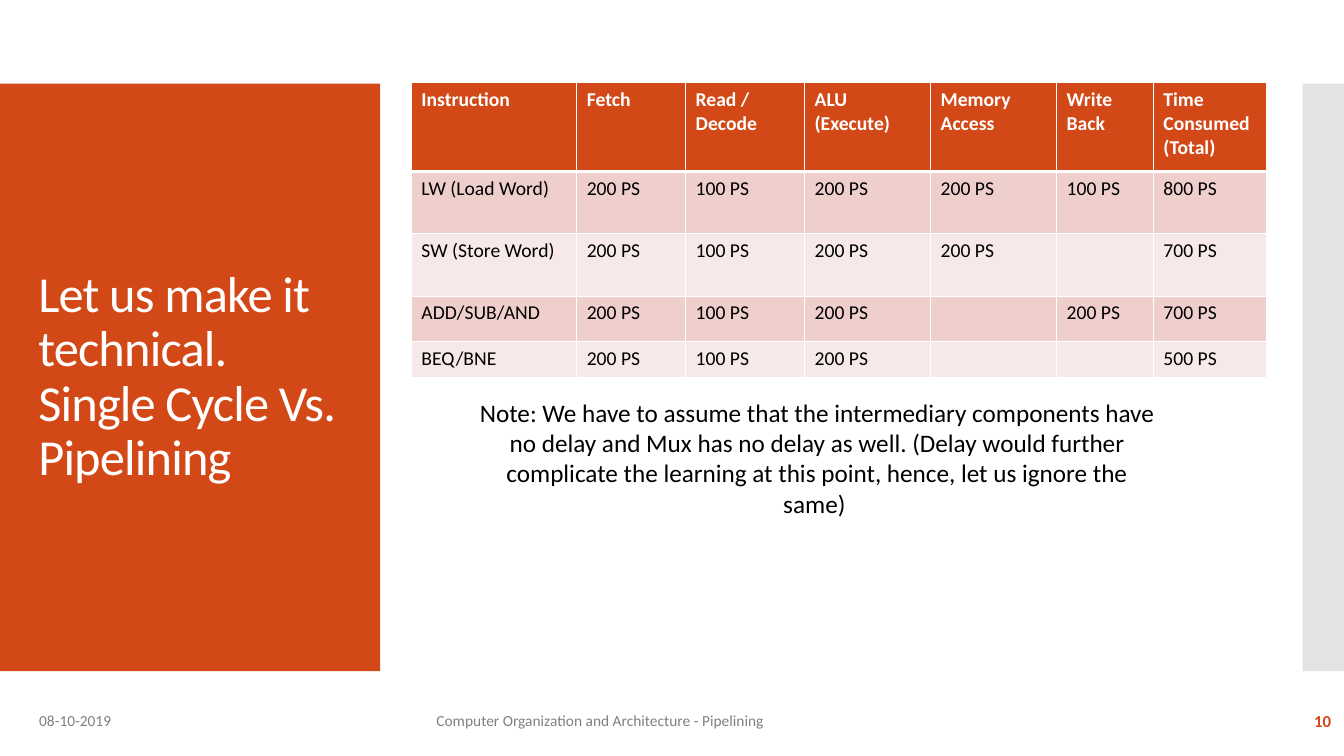
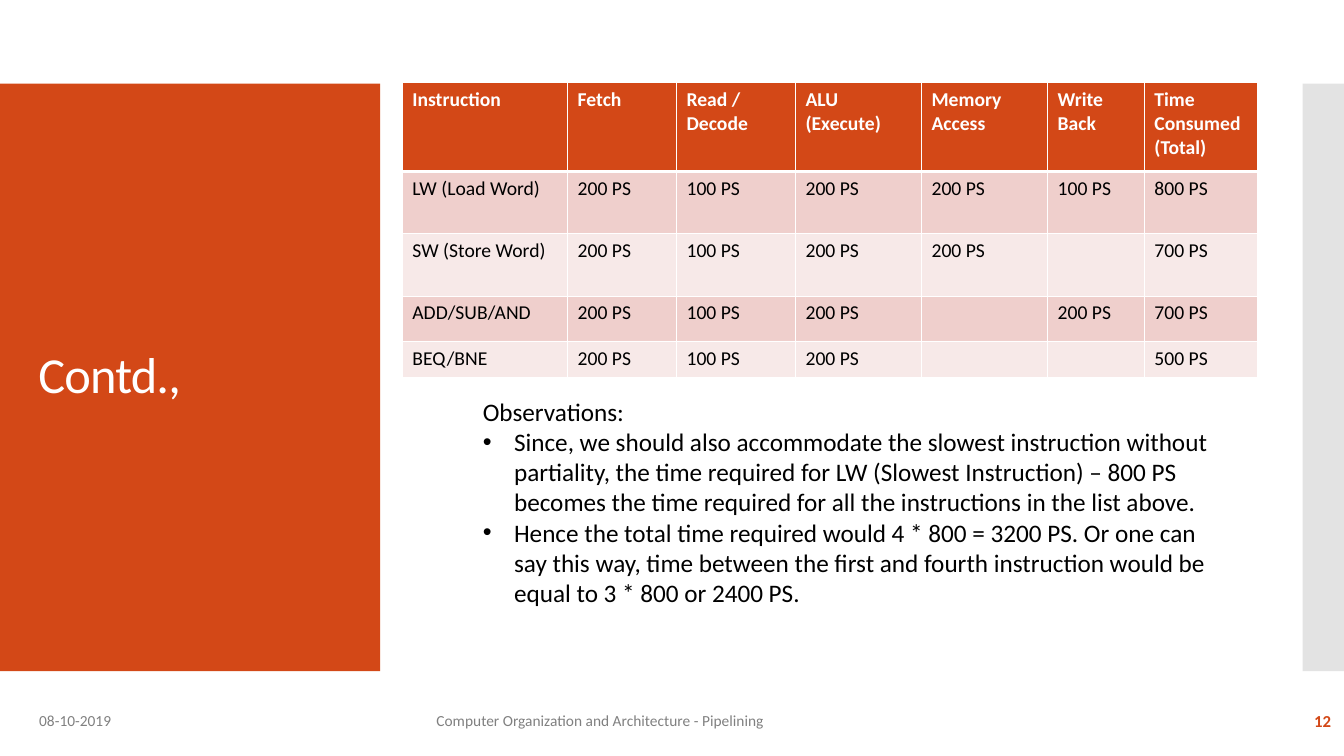
import pptx
import pptx.dml.color
import pptx.enum.shapes
import pptx.enum.text
import pptx.oxml.ns
import pptx.util
from lxml import etree

PX = 9144
ALIGN = pptx.enum.text.PP_ALIGN
MIDDLE = pptx.enum.text.MSO_ANCHOR.MIDDLE
TOP = pptx.enum.text.MSO_ANCHOR.TOP

HEADINGS = ["Instruction", "Fetch", "Read / Decode", "ALU (Execute)",
            "Memory Access", "Write Back", "Time Consumed (Total)"]
STAGE_TIMES = {
    "LW (Load Word)": [200, 100, 200, 200, 100],
    "SW (Store Word)": [200, 100, 200, 200, None],
    "ADD/SUB/AND": [200, 100, 200, None, 200],
    "BEQ/BNE": [200, 100, 200, None, None],
}
COLUMN_WIDTHS = [164, 108, 118, 125, 125, 96, 112]
ROW_HEIGHTS = [88, 62, 62, 45, 36]


def px(length):
    return pptx.util.Emu(length * PX)


def colour(code):
    return pptx.dml.color.RGBColor.from_string(code)


def add_element(parent, tag, **attributes):
    return etree.SubElement(parent, pptx.oxml.ns.qn(tag), **attributes)


class SlideWriter:
    FONT = "Calibri"
    ACCENT = "D34817"
    SIDE = "C8C8C8"
    WHITE = "FFFFFF"
    BLACK = "000000"
    GREY = "808080"
    STRIPES = ["EFCFCC", "F7E9E8"]

    def __init__(self):
        self.deck = pptx.Presentation()
        self.deck.slide_width = px(1333)
        self.deck.slide_height = px(750)
        self.page = None

    def start_page(self, title_lines, number):
        self.page = self.deck.slides.add_slide(self.deck.slide_layouts[5])
        self.band(0, 377, self.ACCENT)
        self.band(1292, 41, self.SIDE, opacity=50)
        self.title(title_lines)
        self.text(29, 695, 300, 40, ["08-10-2019"], 11, self.GREY, anchor=MIDDLE)
        self.text(423, 695, 646, 40, ["Computer Organization and Architecture - Pipelining"],
                  11, self.GREY, anchor=MIDDLE)
        self.text(1163, 695, 167, 40, [number], 12, self.ACCENT, bold=True,
                  align=ALIGN.RIGHT, anchor=MIDDLE)

    def span(self, para, words, size, code, bold=False):
        span = para.add_run()
        span.text = words
        span.font.name = self.FONT
        span.font.size = pptx.util.Pt(size)
        span.font.bold = bold
        span.font.color.rgb = colour(code)
        return span

    def band(self, left, width, code, opacity=100):
        band = self.page.shapes.add_shape(pptx.enum.shapes.MSO_SHAPE.RECTANGLE,
                                          px(left), px(83), px(width), px(583))
        band.shadow.inherit = False
        band.line.fill.background()
        band.fill.solid()
        band.fill.fore_color.rgb = colour(code)
        if opacity < 100:
            shade = band.fill._xPr.find(".//" + pptx.oxml.ns.qn("a:srgbClr"))
            add_element(shade, "a:alpha", val=str(opacity * 1000))
        self.page.shapes._spTree.insert(2, band._element)

    def title(self, lines):
        box = self.page.shapes.title
        box.left, box.top, box.width, box.height = px(28), px(123), px(322), px(503)
        frame = box.text_frame
        frame.word_wrap = True
        frame.auto_size = pptx.enum.text.MSO_AUTO_SIZE.NONE
        frame.vertical_anchor = MIDDLE
        para = frame.paragraphs[0]
        para.alignment = ALIGN.LEFT
        para.line_spacing = 0.9
        for index, line in enumerate(lines):
            if index:
                para.add_line_break()
            span = self.span(para, line, 36, self.WHITE)
            span.font._element.set("spc", "-60")

    def text(self, left, top, width, height, lines, size, code, bold=False,
             align=ALIGN.LEFT, anchor=TOP, bullets_from=None):
        box = self.page.shapes.add_textbox(px(left), px(top), px(width), px(height))
        frame = box.text_frame
        frame.word_wrap = True
        frame.vertical_anchor = anchor
        for index, line in enumerate(lines):
            para = frame.add_paragraph() if index else frame.paragraphs[0]
            para.alignment = align
            self.span(para, line, size, code, bold)
            if bullets_from is not None and index >= bullets_from:
                self.bullet(para)

    def bullet(self, para):
        properties = para._p.get_or_add_pPr()
        properties.set("marL", str(px(31)))
        properties.set("indent", str(-px(31)))
        add_element(properties, "a:buFont", typeface="Arial")
        add_element(properties, "a:buChar", char="•")

    def cell(self, cell, words, fill, code, bold, top_line, bottom_line):
        properties = cell._tc.get_or_add_tcPr()
        for side, points in zip("LRTB", (1, 1, top_line, bottom_line)):
            line = add_element(properties, "a:ln" + side, w=str(pptx.util.Pt(points)))
            add_element(add_element(line, "a:solidFill"), "a:srgbClr", val=self.WHITE)
        cell.fill.solid()
        cell.fill.fore_color.rgb = colour(fill)
        para = cell.text_frame.paragraphs[0]
        if words:
            self.span(para, words, 14, code, bold)
        else:
            add_element(para._p, "a:endParaRPr", sz="1400")

    def timing_table(self, left):
        rows = [HEADINGS]
        for instruction, times in STAGE_TIMES.items():
            total = sum(time or 0 for time in times)
            rows.append([instruction] + [f"{time} PS" if time else "" for time in times + [total]])
        table = self.page.shapes.add_table(len(rows), len(HEADINGS), px(left), px(82),
                                           px(sum(COLUMN_WIDTHS)), px(sum(ROW_HEIGHTS))).table
        for column, width in zip(table.columns, COLUMN_WIDTHS):
            column.width = px(width)
        for index, (row, height, entries) in enumerate(zip(table.rows, ROW_HEIGHTS, rows)):
            row.height = px(height)
            heading = index == 0
            fill = self.ACCENT if heading else self.STRIPES[(index - 1) % 2]
            code = self.WHITE if heading else self.BLACK
            for cell, words in zip(row.cells, entries):
                self.cell(cell, words, fill, code, heading,
                          3 if index == 1 else 1, 3 if heading else 1)


def main():
    writer = SlideWriter()

    writer.start_page(["Let us make it technical.", "Single Cycle Vs. Pipelining"], "10")
    writer.timing_table(408)
    writer.text(466, 389, 689, 131, [
        "Note: We have to assume that the intermediary components have no delay and Mux has "
        "no delay as well. (Delay would further complicate the learning at this point, hence, "
        "let us ignore the same) "], 18, writer.BLACK, align=ALIGN.CENTER)

    writer.start_page(["Contd.,"], "12")
    writer.timing_table(399)
    writer.text(469, 388, 739, 283, [
        "Observations:",
        "Since, we should also accommodate the slowest instruction without partiality, the time "
        "required for LW (Slowest Instruction) – 800 PS becomes the time required for all the "
        "instructions in the list above.",
        "Hence the total time required would 4 * 800 = 3200 PS. Or one can say this way, time "
        "between the first and fourth instruction would be equal to 3 * 800 or 2400 PS.",
    ], 18, writer.BLACK, bullets_from=1)

    writer.deck.save("out.pptx")


if __name__ == "__main__":
    main()
